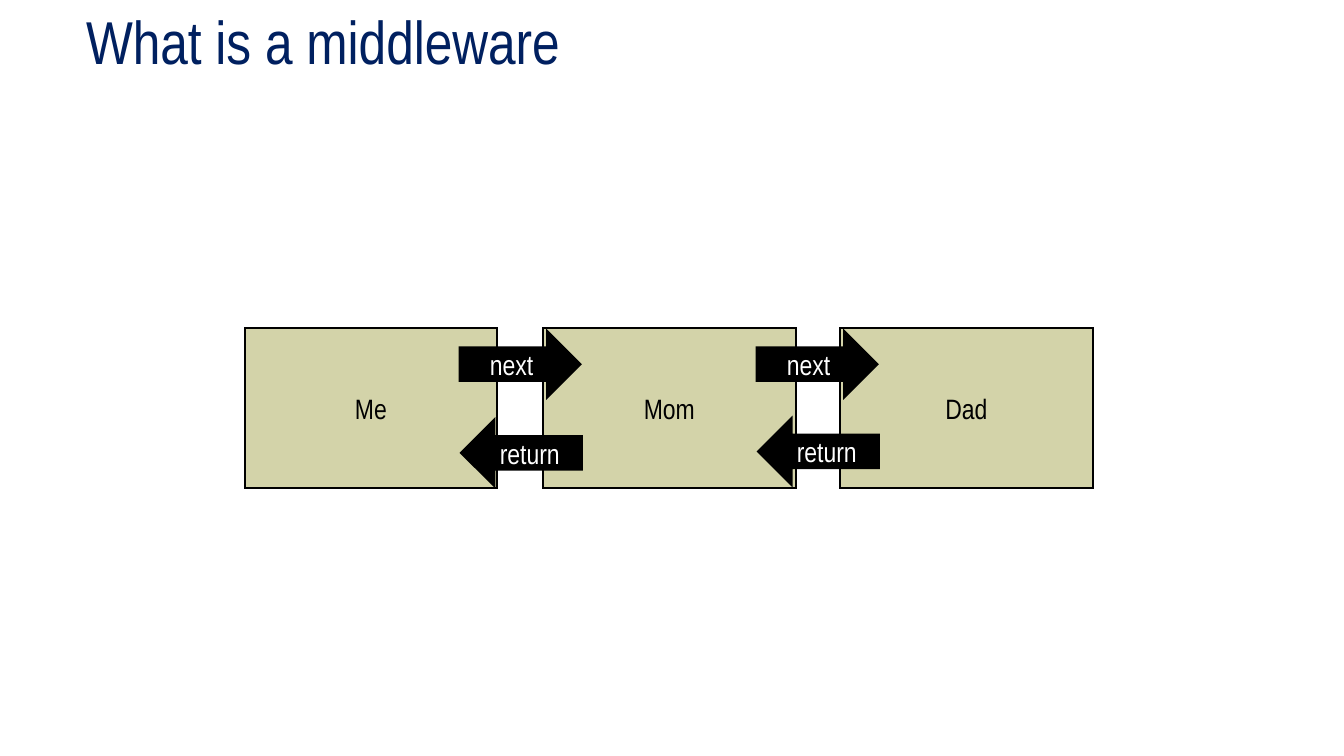
from dataclasses import dataclass

from lxml import etree
from pptx import Presentation, util as u
from pptx.dml.color import RGBColor
from pptx.enum import shapes, text
from pptx.oxml import ns

INK = {"title": "002060", "box": "D3D3A9", "black": "000000", "white": "FFFFFF"}
FONT = "Arial Narrow"
KIND = shapes.MSO_SHAPE


@dataclass
class Block:
    label: str
    kind: KIND
    left: float
    top: float
    width: float
    height: float
    fill: str
    ink: str


def write(frame, words: str, *, size: float, ink: str, align=None,
          wrap: bool = True, space: float = 1.0) -> None:
    frame.word_wrap = wrap
    frame.auto_size = text.MSO_AUTO_SIZE.NONE
    frame.vertical_anchor = text.MSO_ANCHOR.MIDDLE
    line = frame.paragraphs[0]
    line.alignment = align
    line.line_spacing = space
    run = line.add_run()
    run.text = words
    run.font.name = FONT
    run.font.size = u.Pt(size)
    run.font.color.rgb = RGBColor.from_string(INK[ink])


def draw(slide, block: Block) -> None:
    spot = map(u.Inches, (block.left, block.top, block.width, block.height))
    shape = slide.shapes.add_shape(block.kind, *spot)
    shape.shadow.inherit = False
    shape.fill.solid()
    shape.fill.fore_color.rgb = RGBColor.from_string(INK[block.fill])
    shape.line.color.rgb = RGBColor.from_string(INK["black"])
    shape.line.width = u.Pt(1)
    edge = shape.line.fill._xPr
    etree.SubElement(edge, ns.qn("a:miter"), lim="800000")
    write(shape.text_frame, block.label, size=15, ink=block.ink,
          align=text.PP_ALIGN.CENTER, wrap=False)


def box(label: str, left: float) -> Block:
    return Block(label, KIND.RECTANGLE, left, 2.44, 1.88, 1.19, "box", "black")


def arrow(label: str, kind: KIND, left: float, top: float) -> Block:
    return Block(label, kind, left, top, 0.9, 0.5, "black", "white")


def main() -> None:
    deck = Presentation()
    deck.slide_width = u.Inches(10)
    deck.slide_height = deck.slide_width * 9 // 16
    slide = deck.slides.add_slide(deck.slide_layouts[5])

    title = slide.shapes.title
    title.left, title.top = u.Inches(0.54), u.Inches(0.08)
    title.width, title.height = u.Inches(8.91), u.Inches(0.51)
    write(title.text_frame, "What is a middleware", size=32.4, ink="title",
          align=text.PP_ALIGN.LEFT, space=0.9)

    people = {"Me": 1.82, "Mom": 4.04, "Dad": 6.25}
    boxes = [box(name, left) for name, left in people.items()]
    gaps = [block.left - 0.62 for block in boxes[1:]]
    calls = [arrow("next", KIND.RIGHT_ARROW, left, 2.46) for left in gaps]
    backs = [arrow("return", KIND.LEFT_ARROW, left + 0.01, top)
             for left, top in zip(gaps, (3.12, 3.11))]
    for block in boxes + calls + backs[::-1]:
        draw(slide, block)

    deck.save("out.pptx")


if __name__ == "__main__":
    main()
